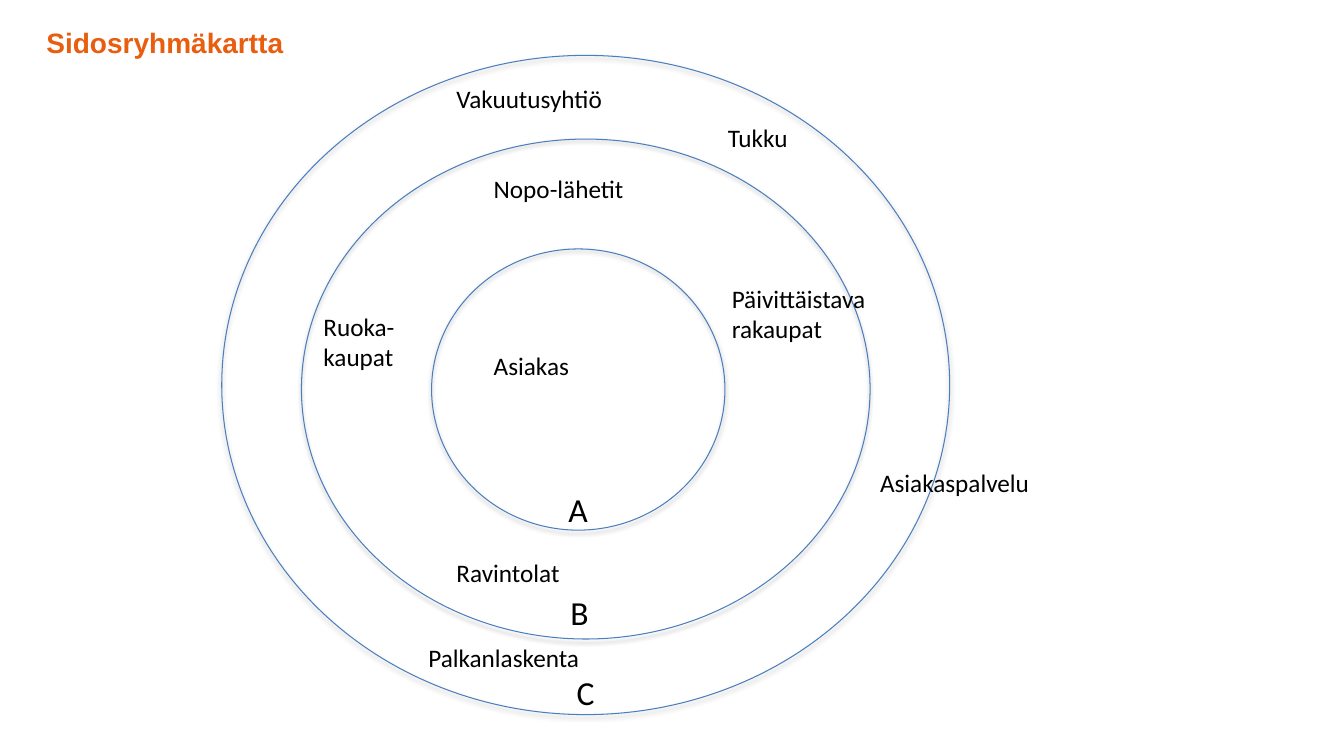
from dataclasses import dataclass

from lxml.etree import SubElement
from pptx import Presentation
from pptx.dml.color import RGBColor as RGB
from pptx.enum.shapes import MSO_SHAPE as Shape
from pptx.enum.text import MSO_ANCHOR as Anchor, MSO_AUTO_SIZE as Fit, PP_ALIGN as Align
from pptx.oxml.ns import qn
from pptx.util import Inches, Pt


@dataclass(frozen=True)
class Theme:
    ink: str = "000000"
    ring: str = "4B7EBC"
    accent: str = "E95D0F"
    body: str = "Calibri"
    head: str = "Arial"
    label: int = 18
    title: int = 20
    letter: int = 24
    line: float = 0.75


class Board:
    """Places elements on a grid of 100 columns by 100 rows."""

    def __init__(self, deck, theme):
        self.deck, self.theme = deck, theme
        self.slide = deck.slides.add_slide(deck.slide_layouts[5])

    def box(self, x, y, w, h):
        col, row = self.deck.slide_width / 100, self.deck.slide_height / 100
        return [round(n) for n in (x * col, y * row, w * col, h * row)]

    def style(self, shape, text, size, face, color, bold=False, wrap=True):
        frame = shape.text_frame
        frame.text = text
        frame.word_wrap = wrap
        frame.auto_size = Fit.SHAPE_TO_FIT_TEXT
        frame.vertical_anchor = Anchor.TOP
        para = frame.paragraphs[0]
        para.alignment = Align.LEFT
        font = para.font
        font.name, font.size, font.bold = face, Pt(size), bold
        font.color.rgb = RGB.from_string(color)

    def title(self, text, *area):
        shape = self.slide.shapes.title
        shape.left, shape.top, shape.width, shape.height = self.box(*area)
        look = self.theme
        self.style(shape, text, look.title, look.head, look.accent, bold=True)

    def label(self, text, *area, size=None, wrap=True):
        shape = self.slide.shapes.add_textbox(*self.box(*area))
        look = self.theme
        self.style(shape, text, size or look.label, look.body, look.ink, wrap=wrap)

    def ring(self, *area):
        shape = self.slide.shapes.add_shape(
            Shape.FLOWCHART_CONNECTOR, *self.box(*area))
        shape.fill.background()
        shape.line.color.rgb = RGB.from_string(self.theme.ring)
        shape.line.width = Pt(self.theme.line)
        self.shade(shape)

    def shade(self, shape):
        shape.shadow.inherit = False
        effects = shape._element.spPr.find(qn("a:effectLst"))
        shadow = SubElement(effects, qn("a:outerShdw"), blurRad=str(Pt(3.1)),
                            dist=str(Pt(1.8)), dir="5400000", rotWithShape="0")
        color = SubElement(shadow, qn("a:srgbClr"), val=self.theme.ink)
        SubElement(color, qn("a:alpha"), val="35000")


# Rings from the outside in: left, top, width, height
RINGS = [
    (16.5, 7.33, 54.16, 87.2),
    (22.43, 18.4, 42.31, 66.13),
    (32.11, 32.93, 21.83, 37.2),
]

# Ring letters: left, top
LETTERS = [("A", 41.56, 64), ("B", 41.71, 77.6), ("C", 42.16, 88.27)]

# Stakeholders: left, top, width, lines of text
GROUPS = [
    ("Asiakas", 36, 45.73, 15.6, 1),
    ("Nopo-lähetit", 36, 22.27, 17.85, 1),
    ("Ravintolat", 33.23, 73.07, 20.71, 1),
    ("Ruoka-kaupat", 23.33, 40.53, 8.7, 2),
    ("Päivittäistavarakaupat", 53.71, 36.8, 12, 2),
    ("Vakuutusyhtiö", 33.23, 10.4, 22.5, 1),
    ("Palkanlaskenta", 31.13, 84.27, 29.26, 1),
    ("Tukku", 53.41, 15.47, 14.93, 1),
    ("Asiakaspalvelu", 64.74, 61.2, 12.9, 1),
]


def main():
    deck = Presentation()
    deck.slide_width, deck.slide_height = Inches(13.33), Inches(7.5)
    theme = Theme()
    board = Board(deck, theme)

    # Heading
    board.title("Sidosryhmäkartta", 2.7, 2.67, 90.4, 5.87)

    # Rings and their letters
    for area in RINGS:
        board.ring(*area)
    for text, x, y in LETTERS:
        board.label(text, x, y, 3, 6.67, size=theme.letter, wrap=False)

    # Stakeholder names
    for text, x, y, w, lines in GROUPS:
        board.label(text, x, y, w, 1.2 + 4.13 * lines)

    deck.save("out.pptx")


if __name__ == "__main__":
    main()
